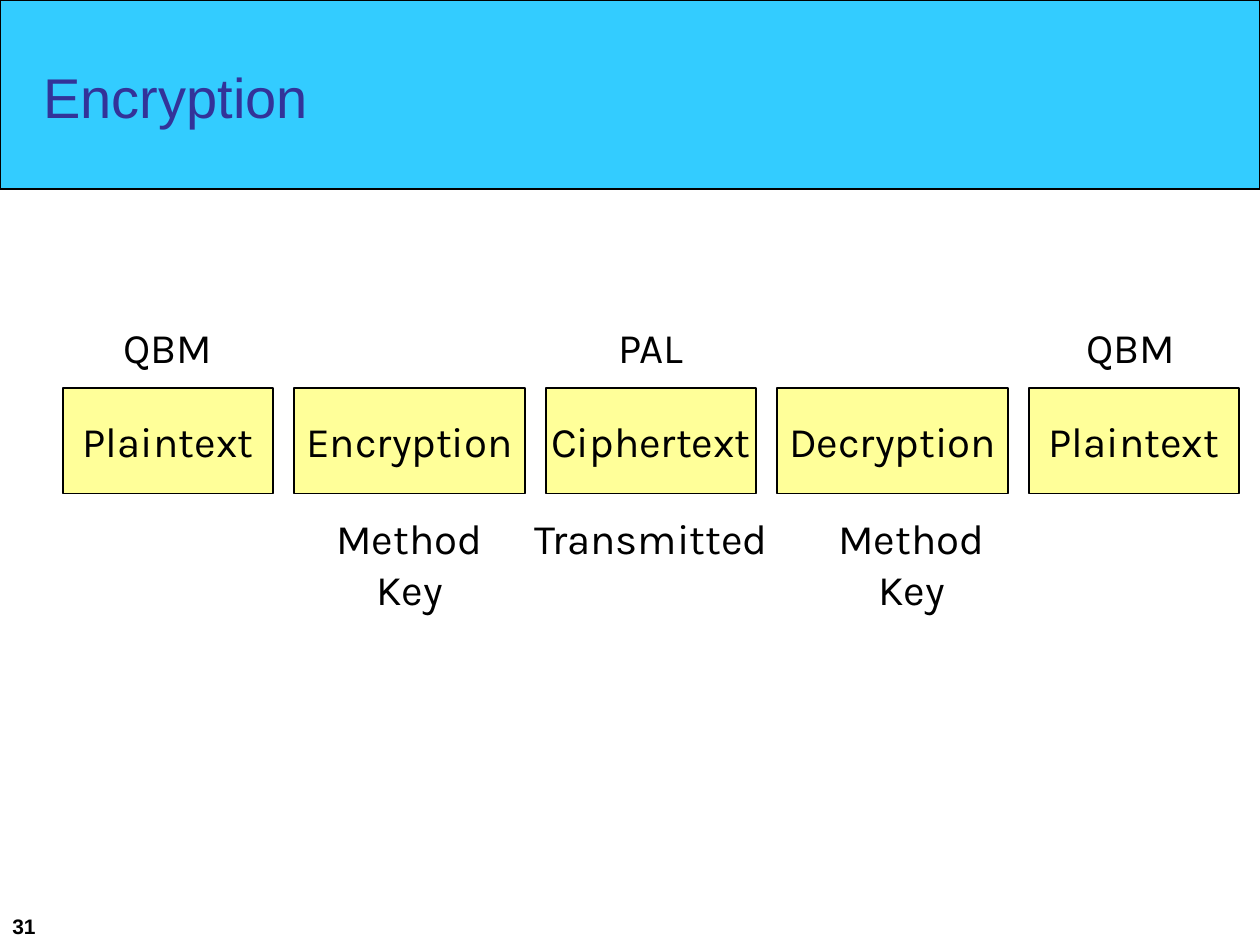
from pptx import Presentation
from pptx.util import Cm, Pt
from pptx.dml.color import RGBColor
from pptx.enum.shapes import MSO_SHAPE as Kind
from pptx.enum.text import MSO_ANCHOR as Anchor, PP_ALIGN as Align, MSO_AUTO_SIZE as Fit

TITLE = "Encryption"
NUMBER = "31"
GAP = 2.54 / 6
SHORT, LONG = 10 * GAP, 11 * GAP
STEPS = [
    ("Plaintext", SHORT, "QBM", "", 0),
    ("Encryption", LONG, "", "Method\nKey", 0),
    ("Ciphertext", SHORT, "PAL", "Transmitted", 0),
    ("Decryption", LONG, "", "Method\nKey", 0.38),
    ("Plaintext", SHORT, "QBM", "", -0.06),
]
WIDTHS = {"QBM": 2.11, "PAL": 2.11, "Method\nKey": 3.6, "Transmitted": 5.33}
LEFT, TOP, HIGH = 1.27, 7.83, 2.12
OVER, UNDER = 6.35, 10.21


def color(code):
    return RGBColor.from_string(code)


def write(shape, text, size=24, font="Karla", ink="000000", bold=False,
          align=Align.CENTER, anchor=Anchor.TOP, wrap=False):
    frame = shape.text_frame
    frame.text = text
    frame.word_wrap = wrap
    frame.auto_size = Fit.NONE
    frame.vertical_anchor = anchor
    for para in frame.paragraphs:
        para.alignment = align
        for run in para.runs:
            run.font.size = Pt(size)
            run.font.name = font
            run.font.bold = bold
            run.font.color.rgb = color(ink)


def block(x, y, wide, high, fill, line):
    shape = slide.shapes.add_shape(Kind.RECTANGLE, Cm(x), Cm(y), Cm(wide), Cm(high))
    shape.shadow.inherit = False
    shape.fill.solid()
    shape.fill.fore_color.rgb = color(fill)
    shape.line.color.rgb = color("000000")
    shape.line.width = Pt(line)
    return shape


def label(mid, y, text):
    wide = WIDTHS[text]
    high = 1.27 + 1.02 * text.count("\n")
    write(slide.shapes.add_textbox(Cm(mid - wide / 2), Cm(y), Cm(wide), Cm(high)), text)


deck = Presentation()
deck.slide_width, deck.slide_height = Cm(25.4), Cm(19.05)
slide = deck.slides.add_slide(deck.slide_layouts[5])

band = block(0, 0, 25.4, 3.81, "33CCFF", 0.75)
title = slide.shapes.title
band._element.addnext(title._element)
title.left, title.top, title.width, title.height = Cm(0.62), Cm(1.13), Cm(6.2), Cm(1.63)
write(title, TITLE, 32, "Arial", "333399", align=Align.LEFT)

x = LEFT
for name, wide, above, below, nudge in STEPS:
    write(block(x, TOP, wide, HIGH, "FFFF99", 1), name, anchor=Anchor.MIDDLE)
    mid = x + wide / 2 + nudge
    for text, y in ((above, OVER), (below, UNDER)):
        if text:
            label(mid, y, text)
    x += wide + GAP

page = slide.shapes.add_textbox(Cm(0), Cm(17.78), Cm(5.28), Cm(1.27))
write(page, NUMBER, 12, "Arial", bold=True, align=Align.LEFT, anchor=Anchor.BOTTOM, wrap=True)

deck.save("out.pptx")
